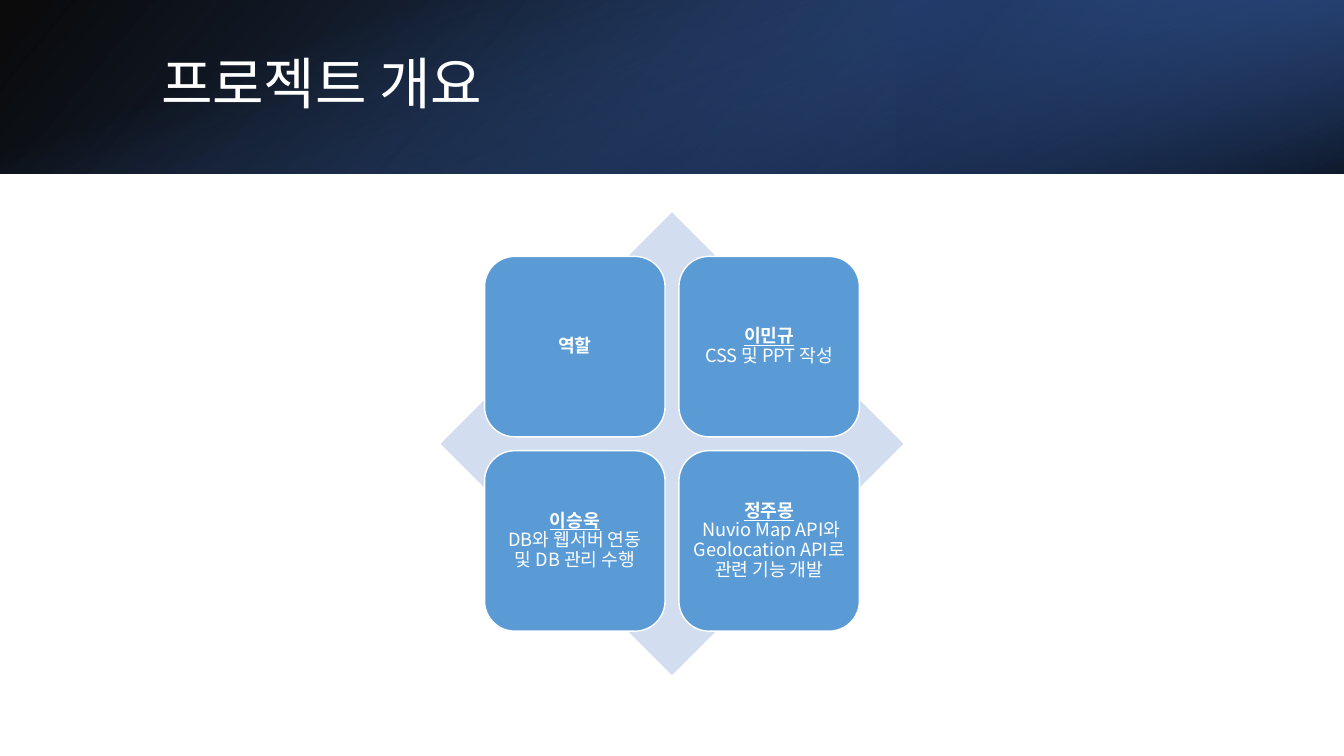
from copy import deepcopy
from dataclasses import dataclass

from lxml import etree
from pptx import Presentation
from pptx.dml.color import RGBColor
from pptx.enum.shapes import MSO_SHAPE
from pptx.enum.text import MSO_ANCHOR, PP_ALIGN
from pptx.oxml.ns import qn
from pptx.util import Inches, Pt

RECT, DIAMOND, ROUND_RECT = MSO_SHAPE.RECTANGLE, MSO_SHAPE.DIAMOND, MSO_SHAPE.ROUNDED_RECTANGLE
MIDDLE, CENTER = MSO_ANCHOR.MIDDLE, PP_ALIGN.CENTER

FONT = "Noto Sans CJK KR"
COLORS = {
    "white": "FFFFFF", "black": "000000", "navy": "2F5597", "deep": "203864",
    "blue": "4472C4", "tile": "5B9BD5", "diamond": "D2DEEF",
}

SLIDE_W, SLIDE_H = 13.333, 7.5
BAND_H = 0.23 * SLIDE_H
DIAMOND_SIZE = 0.612 * SLIDE_H
DIAMOND_LEFT = (SLIDE_W - DIAMOND_SIZE) / 2
DIAMOND_TOP = 0.281 * SLIDE_H
# Tile grid, as shares of the diamond's size
TILE_MARGIN, TILE_SIZE, TILE_PITCH = 0.095, 0.39, 0.42


@dataclass(frozen=True)
class Stop:
    position: int
    color: str
    opacity: int


@dataclass(frozen=True)
class BandLayer:
    left: float
    top: float
    width: float
    height: float
    rotation: int
    flipped: bool
    angle: int
    stops: tuple[Stop, ...]


@dataclass(frozen=True)
class Tile:
    column: int
    row: int
    heading: str
    duty: str = ""


BAND_LAYERS = [
    BandLayer(0, 0, SLIDE_W, BAND_H, 0, True, 140,
              (Stop(0, "black", 96), Stop(100, "navy", 100))),
    BandLayer(SLIDE_W * 2 / 3, 0, SLIDE_W / 3, BAND_H, 180, True, 320,
              (Stop(19, "deep", 68), Stop(100, "blue", 79))),
    BandLayer((SLIDE_W - BAND_H) / 2, (BAND_H - SLIDE_W) / 2, BAND_H, SLIDE_W, 90, False, 340,
              (Stop(23, "blue", 0), Stop(99, "black", 74))),
]

TILES = [
    Tile(0, 0, "역할"),
    Tile(1, 0, "이민규", "CSS 및 PPT 작성"),
    Tile(0, 1, "이승욱", "DB와 웹서버 연동 및 DB 관리 수행"),
    Tile(1, 1, "정주몽", " Nuvio Map API와 Geolocation API로 관련 기능 개발"),
]


def rgb(name: str) -> RGBColor:
    return RGBColor.from_string(COLORS[name])


def add_figure(slide, kind, left: float, top: float, width: float, height: float):
    """Add a preset shape without line or shadow."""
    figure = slide.shapes.add_shape(kind, Inches(left), Inches(top), Inches(width), Inches(height))
    figure.shadow.inherit = False
    figure.line.fill.background()
    return figure


def style_run(run, size: int, bold: bool = False, underline: bool = False) -> None:
    run.font.name = FONT
    run.font.size = Pt(size)
    run.font.bold = bold
    run.font.underline = underline
    run.font.color.rgb = rgb("white")
    east_asian = etree.Element(qn("a:ea"), typeface=FONT)
    run.font._element.find(qn("a:latin")).addnext(east_asian)


def add_band_layer(slide, layer: BandLayer) -> None:
    band = add_figure(slide, RECT, layer.left, layer.top, layer.width, layer.height)
    band.rotation = layer.rotation
    properties = band._element.spPr
    if layer.flipped:
        properties.find(qn("a:xfrm")).set("flipH", "1")
    gradient = etree.Element(qn("a:gradFill"), rotWithShape="1")
    stops = etree.SubElement(gradient, qn("a:gsLst"))
    for stop in layer.stops:
        entry = etree.SubElement(stops, qn("a:gs"), pos=str(stop.position * 1000))
        color = etree.SubElement(entry, qn("a:srgbClr"), val=COLORS[stop.color])
        etree.SubElement(color, qn("a:alpha"), val=str(stop.opacity * 1000))
    etree.SubElement(gradient, qn("a:lin"), ang=str(layer.angle * 60000), scaled="0")
    properties.find(qn("a:prstGeom")).addnext(gradient)


def add_title(slide, wording: str) -> None:
    title = slide.shapes.add_textbox(Inches(1.5), Inches(0.38), Inches(10.98), Inches(0.96))
    frame = title.text_frame
    frame.word_wrap = True
    frame.vertical_anchor = MIDDLE
    frame.text = wording
    frame.paragraphs[0].line_spacing = 0.9
    style_run(frame.paragraphs[0].runs[0], 40)


def add_tile(slide, tile: Tile) -> None:
    left = DIAMOND_LEFT + DIAMOND_SIZE * (TILE_MARGIN + TILE_PITCH * tile.column)
    top = DIAMOND_TOP + DIAMOND_SIZE * (TILE_MARGIN + TILE_PITCH * tile.row)
    side = DIAMOND_SIZE * TILE_SIZE
    box = add_figure(slide, ROUND_RECT, left, top, side, side)
    box.fill.solid()
    box.fill.fore_color.rgb = rgb("tile")
    box.line.color.rgb = rgb("white")
    box.line.width = Pt(1)

    frame = box.text_frame
    frame.word_wrap = True
    frame.vertical_anchor = MIDDLE
    frame.margin_left = frame.margin_right = Inches(0.05)
    frame.margin_top = frame.margin_bottom = Inches(0.05)
    paragraph = frame.paragraphs[0]
    paragraph.text = f"{tile.heading}\v{tile.duty}" if tile.duty else tile.heading
    paragraph.alignment = CENTER
    paragraph.line_spacing = 0.9
    heading, *duties = paragraph.runs
    style_run(heading, 13, bold=True, underline=bool(tile.duty))
    for duty in duties:
        style_run(duty, 13)
    for line_break in paragraph._p.findall(qn("a:br")):
        line_break.append(deepcopy(heading.font._element))


def main() -> None:
    deck = Presentation()
    deck.slide_width, deck.slide_height = Inches(SLIDE_W), Inches(SLIDE_H)
    slide = deck.slides.add_slide(deck.slide_layouts[6])
    for layer in BAND_LAYERS:
        add_band_layer(slide, layer)
    add_title(slide, "프로젝트 개요")
    diamond = add_figure(slide, DIAMOND, DIAMOND_LEFT, DIAMOND_TOP, DIAMOND_SIZE, DIAMOND_SIZE)
    diamond.fill.solid()
    diamond.fill.fore_color.rgb = rgb("diamond")
    for tile in TILES:
        add_tile(slide, tile)
    deck.save("out.pptx")


if __name__ == "__main__":
    main()
